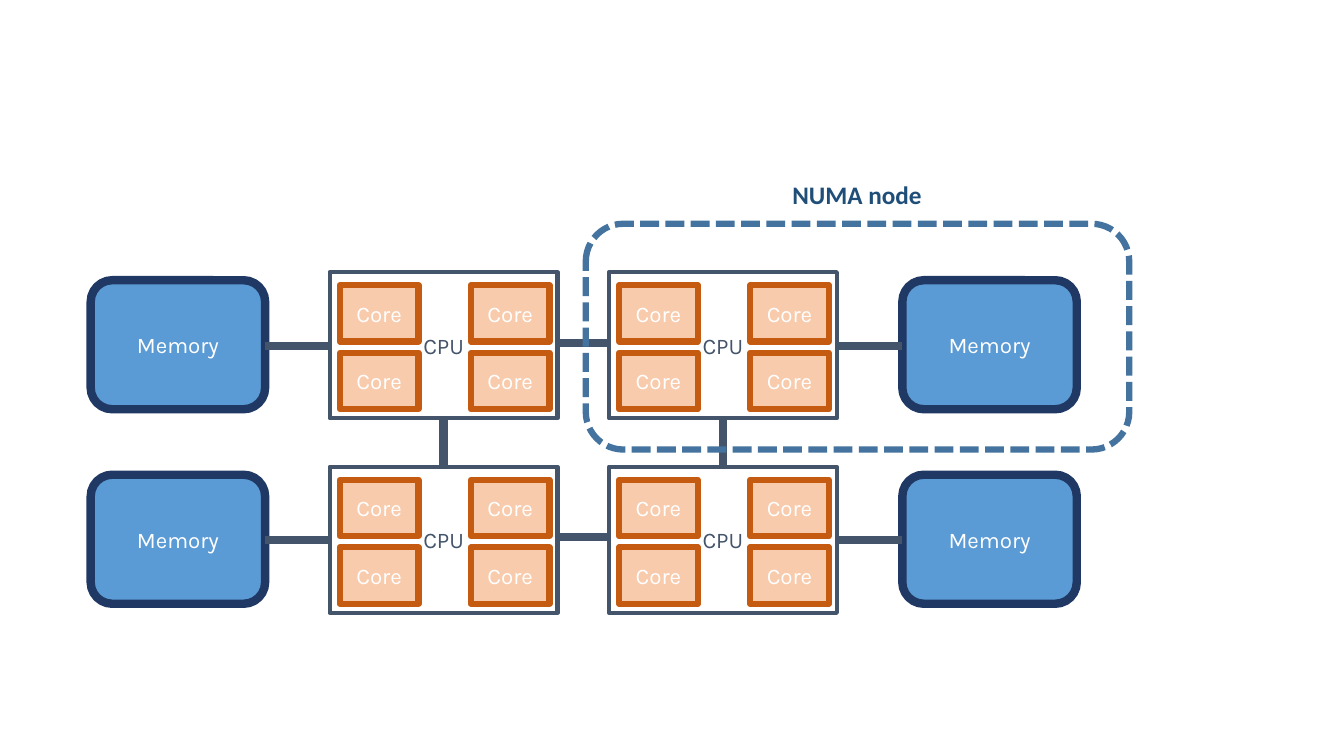
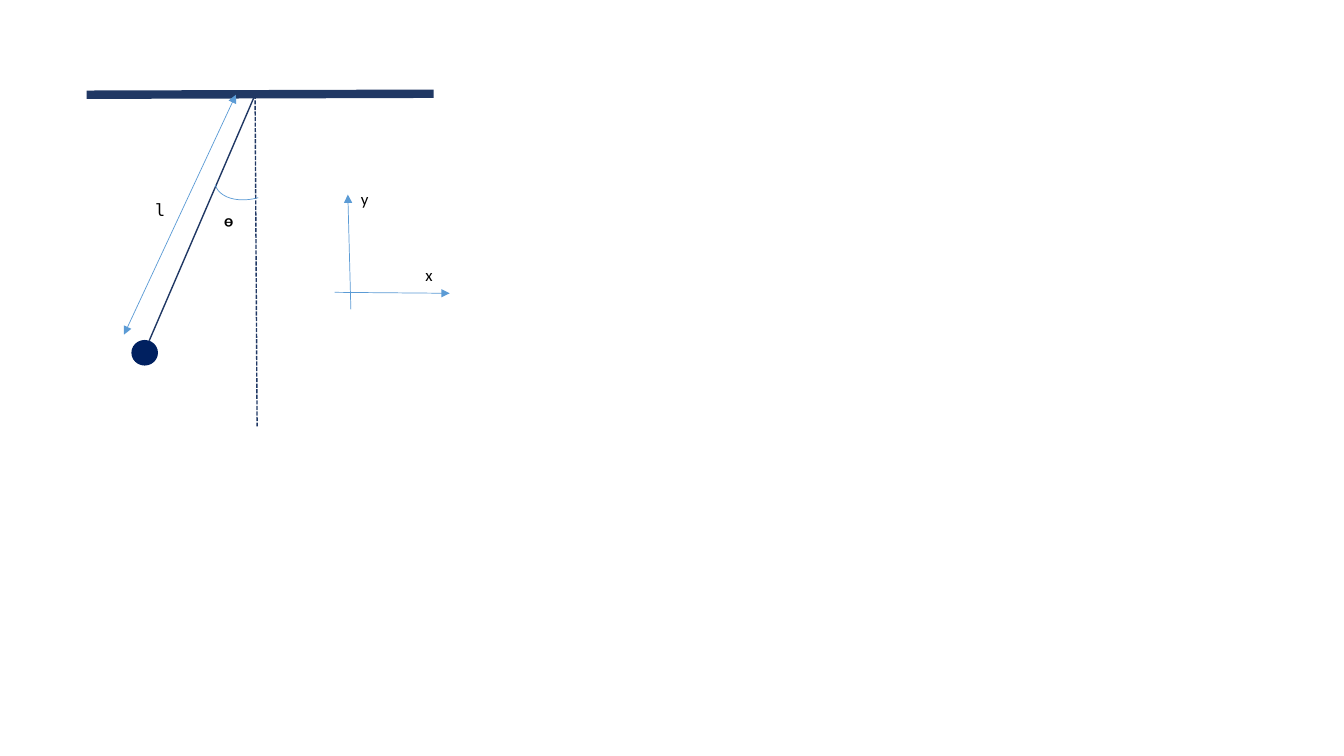
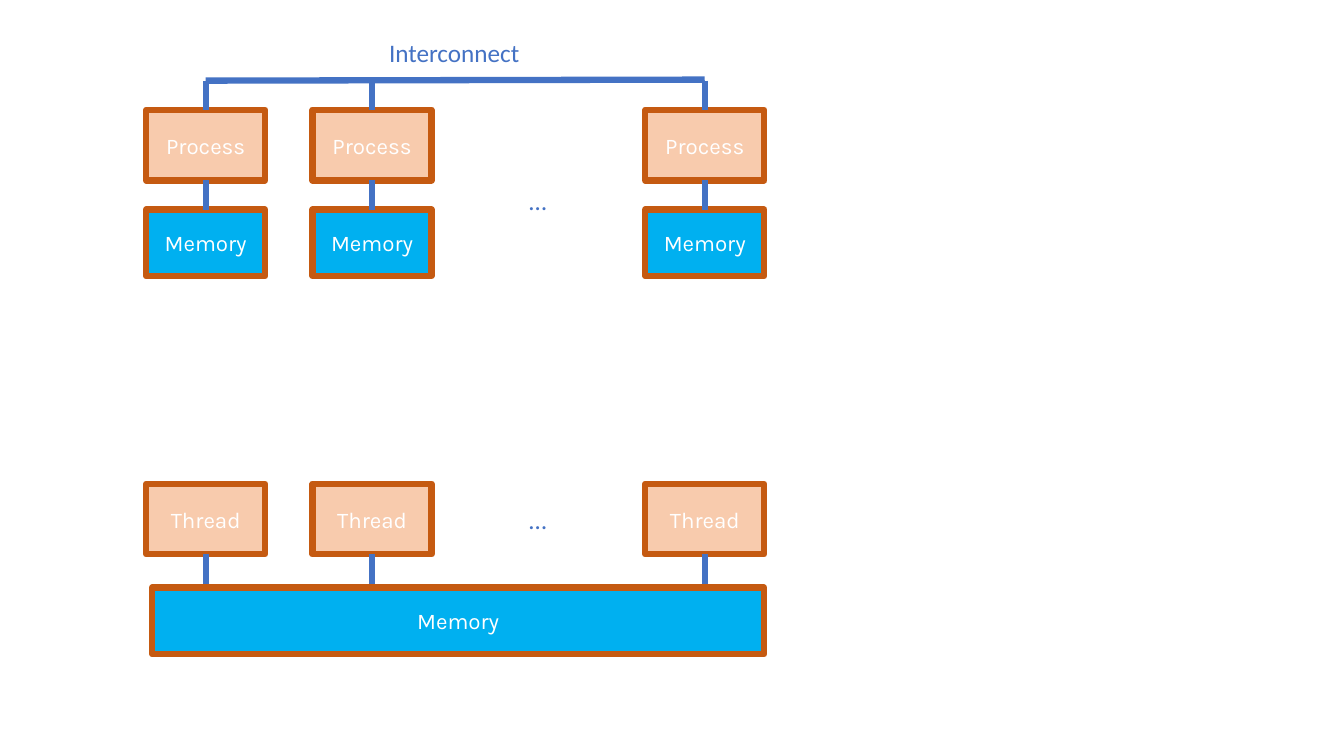
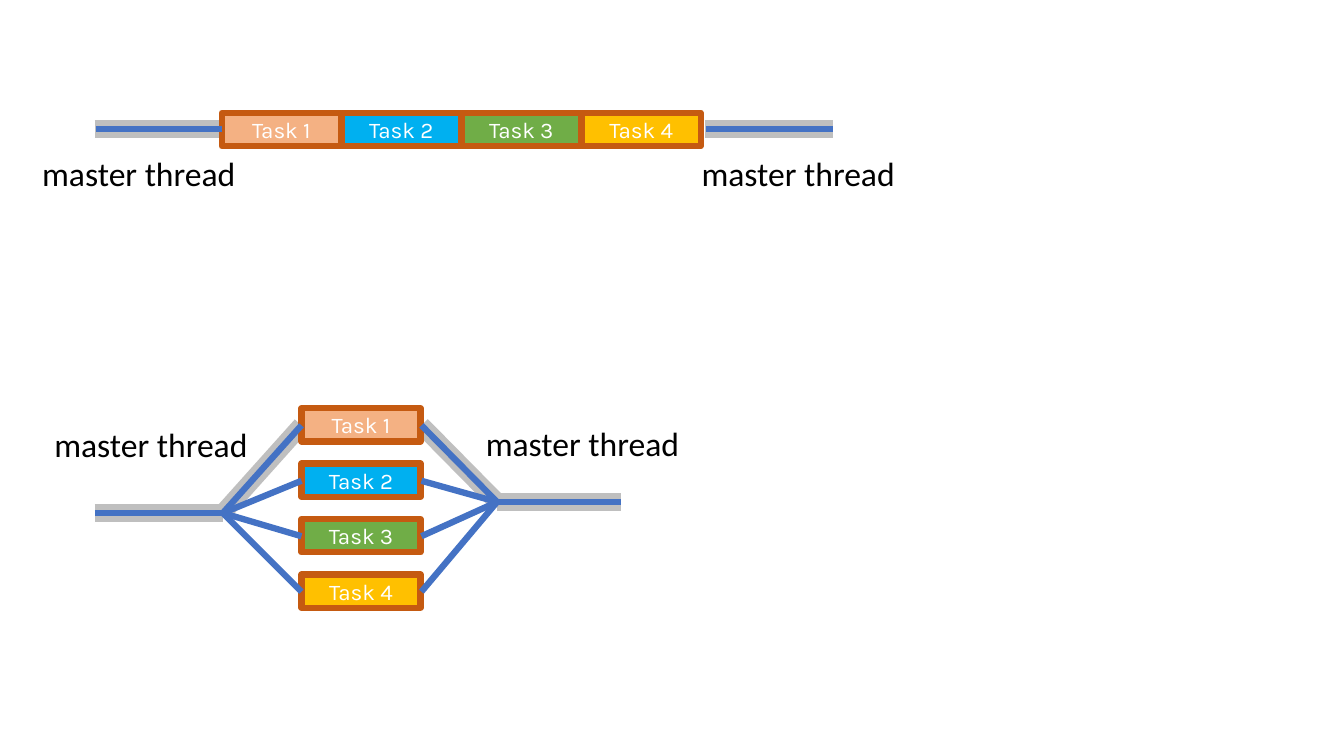
from lxml import etree
from pptx import Presentation
from pptx.dml.color import RGBColor
from pptx.enum.dml import MSO_LINE
from pptx.enum.shapes import MSO_CONNECTOR, MSO_SHAPE
from pptx.enum.text import MSO_ANCHOR, MSO_AUTO_SIZE, PP_ALIGN
from pptx.oxml.ns import qn
from pptx.util import Inches, Pt

RECT, ROUND = MSO_SHAPE.RECTANGLE, MSO_SHAPE.ROUNDED_RECTANGLE
OVAL, ARC = MSO_SHAPE.OVAL, MSO_SHAPE.ARC
STRAIGHT, DASH = MSO_CONNECTOR.STRAIGHT, MSO_LINE.SQUARE_DOT
MIDDLE, CENTER = MSO_ANCHOR.MIDDLE, PP_ALIGN.CENTER
GROW = MSO_AUTO_SIZE.SHAPE_TO_FIT_TEXT

WHITE = RGBColor(0xFF, 0xFF, 0xFF)
BLACK = RGBColor(0, 0, 0)
SLATE = RGBColor(0x44, 0x54, 0x6A)
NAVY = RGBColor(0x20, 0x38, 0x64)
INK = RGBColor(0x00, 0x20, 0x60)
DEEP = RGBColor(0x1F, 0x4E, 0x79)
STEEL = RGBColor(0x43, 0x73, 0x9E)
SKY = RGBColor(0x5B, 0x9B, 0xD5)
BLUE = RGBColor(0x44, 0x72, 0xC4)
CYAN = RGBColor(0x00, 0xB0, 0xF0)
RUST = RGBColor(0xC5, 0x5A, 0x11)
PEACH = RGBColor(0xF8, 0xCB, 0xAD)
SALMON = RGBColor(0xF4, 0xB1, 0x83)
GREEN = RGBColor(0x70, 0xAD, 0x47)
GOLD = RGBColor(0xFF, 0xC0, 0x00)
GRAY = RGBColor(0xBF, 0xBF, 0xBF)

SANS, BODY, MONO = "Karla", "Calibri", "DejaVu Sans Mono"
TASKS = [SALMON, CYAN, GREEN, GOLD]


# Shared parts
def style(para, text, size, font, color, bold=None):
    para.text = text
    para.font.size, para.font.name = Pt(size), font
    para.font.color.rgb, para.font.bold = color, bold


def box(shapes, at, text="", fill=None, edge=RUST, width=4.5,
        kind=RECT, color=WHITE):
    shape = shapes.add_shape(kind, *map(Inches, at))
    shape.shadow.inherit = False
    if fill is None:
        shape.fill.background()
    else:
        shape.fill.solid()
        shape.fill.fore_color.rgb = fill
    shape.line.color.rgb, shape.line.width = edge, Pt(width)
    if text:
        frame = shape.text_frame
        frame.vertical_anchor = MIDDLE
        style(frame.paragraphs[0], text, 16, SANS, color)
        frame.paragraphs[0].alignment = CENTER
    return shape


def wire(shapes, start, end, color=BLUE, width=4.5, dash=None, arrows=()):
    link = shapes.add_connector(STRAIGHT, *map(Inches, (*start, *end)))
    link.line.color.rgb, link.line.width = color, Pt(width)
    if dash:
        link.line.dash_style = dash
    for name in arrows:
        tip = etree.SubElement(link.line._get_or_add_ln(), qn("a:" + name))
        tip.set("type", "triangle")
    etree.SubElement(link._element.spPr, qn("a:effectLst"))


def label(shapes, at, text, size, color=BLACK, font=BODY, bold=None):
    frame = shapes.add_textbox(*map(Inches, at)).text_frame
    frame.word_wrap, frame.auto_size = False, GROW
    style(frame.paragraphs[0], text, size, font, color, bold)


# NUMA slide
def cpu(shapes, x, y):
    parts = shapes.add_group_shape().shapes
    box(parts, (x, y, 2.26, 1.45), "CPU", WHITE, SLATE, 3, color=SLATE)
    for dx in (0.1, 1.4):
        for dy in (0.13, 0.8):
            box(parts, (x + dx, y + dy, 0.78, 0.56), "Core", PEACH)


def numa(shapes):
    rows, cols = (2.7, 4.63), (3.27, 6.04)
    # CPUs and their memory
    for y in rows:
        for x in cols:
            cpu(shapes, x, y)
        for x in (0.9, 8.95):
            box(shapes, (x, y + 0.08, 1.73, 1.28), "Memory", SKY, NAVY, 6,
                ROUND)
        for left, right, dy in ((2.63, 3.27, 0.73), (5.54, 6.04, 0.7),
                                (8.31, 8.95, 0.73)):
            wire(shapes, (left, y + dy), (right, y + dy), SLATE, 6)
    for x in cols:
        wire(shapes, (x + 1.13, 4.15), (x + 1.13, 4.63), SLATE, 6)
    # Node outline
    frame = box(shapes, (5.81, 2.22, 5.39, 2.24), edge=STEEL, kind=ROUND)
    frame.line.dash_style = DASH
    label(shapes, (7.76, 1.73, 1.5, 0.4), "NUMA node", 18, DEEP, bold=True)


# Pendulum slide
def swing(shapes):
    pivot = (2.53, 0.94)
    wire(shapes, (0.86, 0.94), (4.3, 0.93), NAVY, 6)
    wire(shapes, pivot, (2.55, 4.23), NAVY, 1, DASH)
    wire(shapes, pivot, (1.48, 3.38), NAVY, 1)
    box(shapes, (1.31, 3.38, 0.25, 0.24), "", INK, INK, 1, OVAL)
    # Angle and length
    angle = box(shapes, (2.12, 1.49, 0.75, 0.48), edge=SKY, width=0.5,
                kind=ARC)
    angle.rotation = 164.1
    wire(shapes, (2.34, 0.94), (1.23, 3.32), SKY, 0.5,
         arrows=("headEnd", "tailEnd"))
    label(shapes, (1.44, 1.93, 0.24, 0.3), "l", 12, font=MONO)
    label(shapes, (2.11, 2.01, 0.32, 0.5), "\u1db1", 24)


def axes(shapes, x, y):
    tip = ("tailEnd",)
    wire(shapes, (x - 0.16, y), (x + 0.98, y + 0.01), SKY, 0.5, arrows=tip)
    wire(shapes, (x, y + 0.17), (x - 0.03, y - 0.97), SKY, 0.5, arrows=tip)
    label(shapes, (x, y - 1.08, 0.28, 0.3), "y", 12)
    label(shapes, (x + 0.64, y - 0.32, 0.28, 0.3), "x", 12)


# Memory models slide
LANES = [1.45 + 1.65 * i for i in (0, 1, 3)]
GAP = 5.15


def unit(shapes, x, y, text):
    box(shapes, (x, y, 1.18, 0.7), text, PEACH)
    wire(shapes, (x + 0.59, y + 0.7), (x + 0.59, y + 0.99))


def spread(shapes, y):
    for x in LANES:
        parts = shapes.add_group_shape().shapes
        box(parts, (x, y + 0.99, 1.18, 0.66), "Memory", CYAN)
        unit(parts, x, y, "Process")
        wire(shapes, (x + 0.59, y - 0.29), (x + 0.59, y))
    wire(shapes, (LANES[0] + 0.59, y - 0.29), (LANES[-1] + 0.59, y - 0.3))
    label(shapes, (3.76, y - 0.77, 1.51, 0.4), "Interconnect", 18, BLUE)
    label(shapes, (GAP, y + 0.7, 0.38, 0.4), "…", 18, BLUE)


def shared(shapes, y):
    for x in LANES:
        unit(shapes, x, y, "Thread")
    box(shapes, (1.51, y + 1.03, 6.07, 0.66), "Memory", CYAN)
    label(shapes, (GAP, y + 0.15, 0.38, 0.4), "…", 18, BLUE)


# Tasks slide
def master(shapes, x, y):
    label(shapes, (x, y, 2.14, 0.5), "master thread", 24)


def task(shapes, x, y, i):
    box(shapes, (x, y, 1.18, 0.33), f"Task {i + 1}", TASKS[i])


def serial(shapes, x, y):
    mid = y + 0.16
    ends = ((x - 1.26, x), (x + 4.79, x + 6.06))
    for left, right in ends:
        wire(shapes, (left, mid), (right, mid), GRAY, 12.75)
    for i in range(len(TASKS)):
        task(shapes, x + 1.19 * i, y, i)
    for left, right in ends:
        wire(shapes, (left + 0.01, mid), (right, mid))
    for left in (x - 1.88, x + 4.66):
        master(shapes, left, y + 0.35)


def fork(shapes, x, y):
    split, join = (x - 0.78, y + 1.04), (x + 1.94, y + 0.93)
    start, stop = (x - 2.05, split[1]), (x + 3.17, join[1])
    rows = [y + 0.55 * i for i in range(len(TASKS))]
    near, far = x, x + 1.19
    # Shade along the master thread
    path = [start, split, (near, y + 0.17), (far, y + 0.17), join, stop]
    for i in (0, 1, 3, 4):
        wire(shapes, path[i], path[i + 1], GRAY, 12.75)
    # Tasks and threads
    for i, top in enumerate(rows):
        task(shapes, x, top, i)
    wire(shapes, start, split)
    wire(shapes, join, stop)
    for top in rows:
        wire(shapes, split, (near, top + 0.17))
        wire(shapes, (far, top + 0.17), join)
    master(shapes, x - 2.55, y + 0.11)
    master(shapes, x + 1.73, y + 0.1)


deck = Presentation()
deck.slide_width, deck.slide_height = Inches(13.33), Inches(7.5)
blank = deck.slide_layouts[6]
nodes, motion, models, tasks = (
    deck.slides.add_slide(blank).shapes for _ in range(4))

numa(nodes)
swing(motion)
axes(motion, 3.48, 2.9)
spread(models, 1.09)
shared(models, 4.8)
serial(tasks, 2.2, 1.12)
fork(tasks, 2.99, 4.05)

deck.save("out.pptx")
